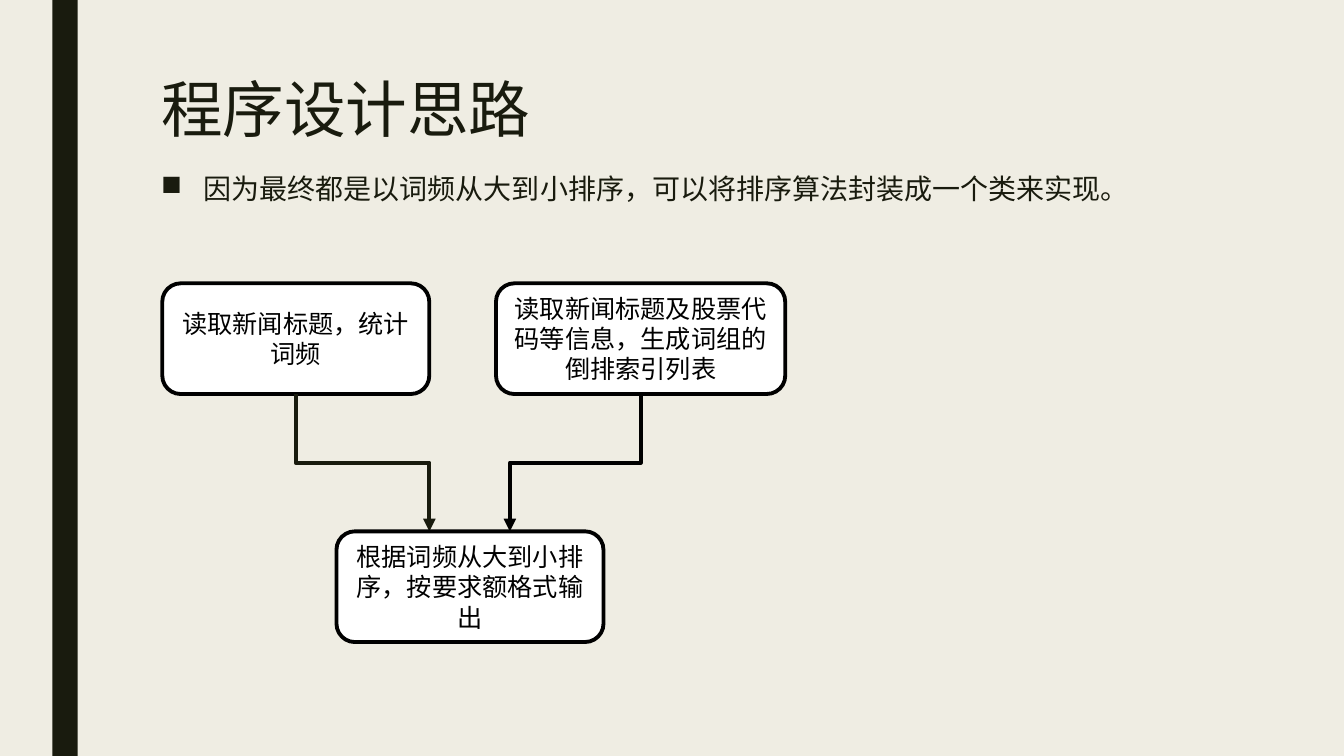
from lxml.etree import SubElement
from pptx import Presentation
from pptx.dml.color import RGBColor
from pptx.enum.shapes import MSO_CONNECTOR, MSO_SHAPE
from pptx.enum.text import MSO_ANCHOR, PP_ALIGN
from pptx.oxml.ns import qn
from pptx.util import Cm, Pt

FONT = "Open Sans"
INK, BLACK, WHITE, PAPER = "191B0E", "000000", "FFFFFF", "EFEDE3"


def color(hex_value):
    return RGBColor.from_string(hex_value)


def apply(target, values):
    for name, value in values.items():
        setattr(target, name, value)


class FlowSlide:
    def __init__(self, presentation):
        self.slide = presentation.slides.add_slide(presentation.slide_layouts[6])
        background = self.slide.background.fill
        background.solid()
        background.fore_color.rgb = color(PAPER)

    def fill_text(self, frame, text, size, ink, **paragraph_format):
        paragraph = frame.paragraphs[0]
        apply(paragraph, paragraph_format)
        run = paragraph.add_run()
        run.text = text
        apply(run.font, {"size": Pt(size), "name": FONT})
        run.font.color.rgb = color(ink)
        return paragraph

    def text(self, bounds, text, size, **paragraph_format):
        frame = self.slide.shapes.add_textbox(*map(Cm, bounds)).text_frame
        apply(frame, {"word_wrap": True, "vertical_anchor": MSO_ANCHOR.TOP})
        return self.fill_text(frame, text, size, INK, **paragraph_format)

    def bullet(self, bounds, text, size, indent, **paragraph_format):
        properties = self.text(bounds, text, size, **paragraph_format)._p.get_or_add_pPr()
        properties.set("marL", str(Cm(indent)))
        properties.set("indent", str(-Cm(indent)))
        SubElement(properties, qn("a:buChar"), char="■")

    def block(self, preset, bounds, fill):
        block = self.slide.shapes.add_shape(preset, *map(Cm, bounds))
        block.shadow.inherit = False
        block.fill.solid()
        block.fill.fore_color.rgb = color(fill)
        block.line.fill.background()
        return block

    def step(self, bounds, text):
        step = self.block(MSO_SHAPE.ROUNDED_RECTANGLE, bounds, WHITE)
        step.line.color.rgb = color(BLACK)
        step.line.width = Pt(2.75)
        apply(step.text_frame, {"word_wrap": True, "vertical_anchor": MSO_ANCHOR.MIDDLE})
        self.fill_text(step.text_frame, text, 18, BLACK, alignment=PP_ALIGN.CENTER)

    def arrow(self, start, end, ink):
        """Draw a down-across-down elbow: a sideways elbow turned by a quarter."""
        middle_x, middle_y = ((a + b) / 2 for a, b in zip(start, end))
        half_width = abs(end[0] - start[0]) / 2
        goes_right = end[0] > start[0]
        reach = (end[1] - start[1]) / 2 * (1 if goes_right else -1)
        corners = (middle_x + reach, middle_y - half_width,
                   middle_x - reach, middle_y + half_width)
        arrow = self.slide.shapes.add_connector(MSO_CONNECTOR.ELBOW, *map(Cm, corners))
        arrow.line.color.rgb = color(ink)
        arrow.line.width = Pt(3)
        properties = arrow._element.spPr
        properties.find(qn("a:xfrm")).set("rot", str((270 if goes_right else 90) * 60000))
        SubElement(properties.find(qn("a:ln")), qn("a:tailEnd"), type="triangle")
        SubElement(properties, qn("a:effectLst"))


def main():
    presentation = Presentation()
    apply(presentation, {"slide_width": Cm(33.87), "slide_height": Cm(19.05)})
    page = FlowSlide(presentation)

    page.block(MSO_SHAPE.RECTANGLE, (1.32, 0, 0.64, 19.05), INK)
    page.text((3.81, 1.9, 26.67, 4.11), "程序设计思路", 44, line_spacing=0.89)
    page.bullet((3.81, 4.27, 26.67, 14.22),
                "因为最终都是以词频从大到小排序，可以将排序算法封装成一个类来实现。",
                20, 1.07, line_spacing=0.94, space_before=Pt(10), space_after=Pt(2))

    read_top, sort_top, height = 7.14, 13.39, 2.79
    count_left, count_width = 4.09, 6.73
    index_left, index_width = 12.5, 7.29
    page.step((count_left, read_top, count_width, height), "读取新闻标题，统计词频")
    page.step((index_left, read_top, index_width, height),
              "读取新闻标题及股票代码等信息，生成词组的倒排索引列表")

    read_bottom = read_top + height
    page.arrow((count_left + count_width / 2, read_bottom), (10.82, sort_top), INK)
    page.arrow((index_left + index_width / 2, read_bottom), (12.85, sort_top), BLACK)
    page.step((8.48, sort_top, count_width, height),
              "根据词频从大到小排序，按要求额格式输出")

    presentation.save("out.pptx")


if __name__ == "__main__":
    main()
